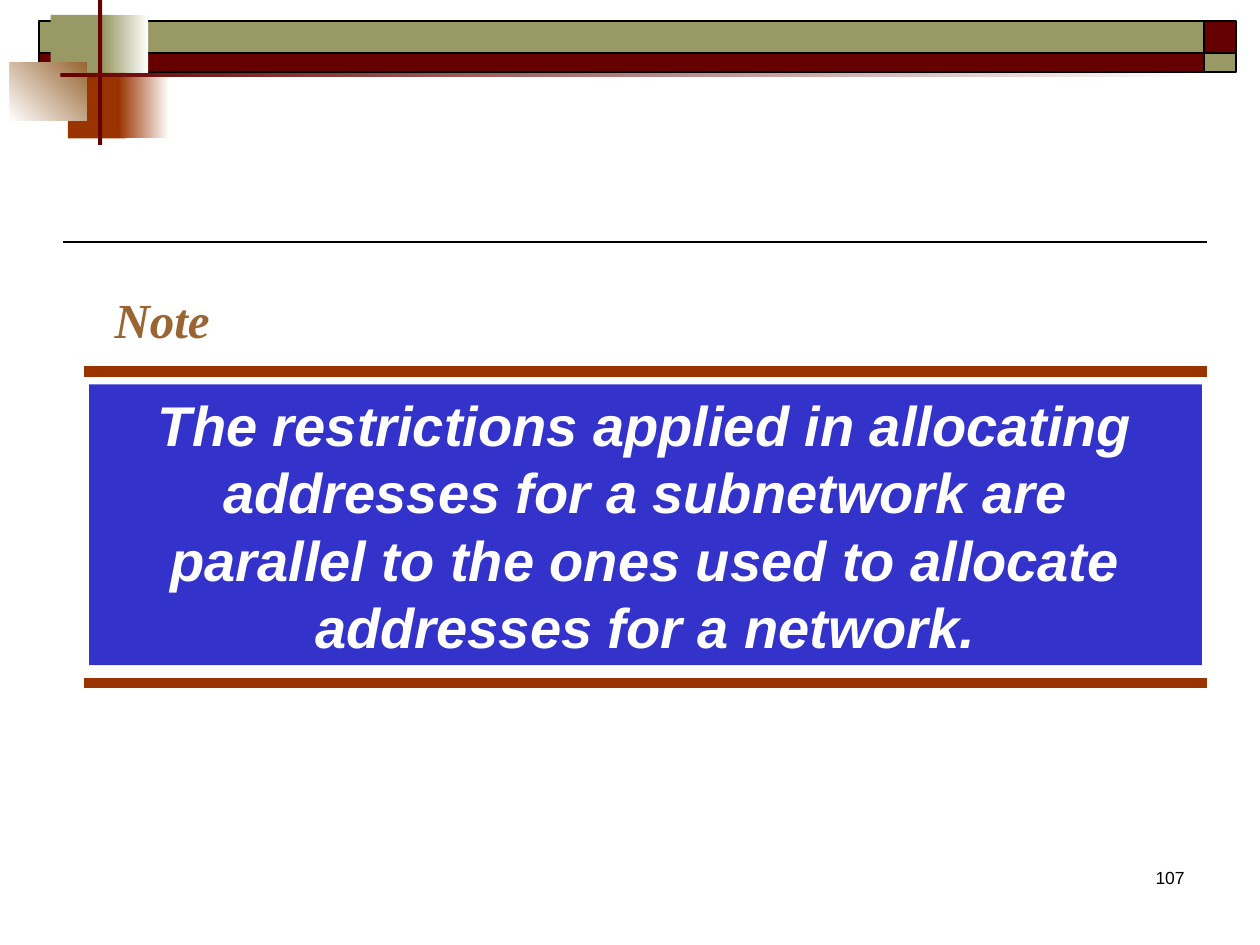
"""Build a note slide about allocating subnetwork addresses."""
from lxml import etree
from pptx import Presentation
from pptx.dml.color import RGBColor
from pptx.enum.shapes import MSO_CONNECTOR, MSO_SHAPE
from pptx.enum.text import MSO_ANCHOR, PP_ALIGN
from pptx.oxml.ns import qn
from pptx.util import Cm, Pt

RECT = MSO_SHAPE.RECTANGLE
STRAIGHT = MSO_CONNECTOR.STRAIGHT
LEFT, CENTER, RIGHT = PP_ALIGN.LEFT, PP_ALIGN.CENTER, PP_ALIGN.RIGHT
TOP = MSO_ANCHOR.TOP

BLACK = RGBColor(0x00, 0x00, 0x00)
WHITE = RGBColor(0xFF, 0xFF, 0xFF)
MAROON = RGBColor(0x66, 0x00, 0x00)
OLIVE = RGBColor(0x99, 0x99, 0x66)
RUST = RGBColor(0x99, 0x33, 0x00)
TAN = RGBColor(0x99, 0x66, 0x33)
BLUE = RGBColor(0x33, 0x33, 0xCC)

NOTE = [
    "The restrictions applied in allocating addresses for a subnetwork are",
    "parallel to the ones used to allocate addresses for a network.",
]

BAND_COLUMNS = [(0.79, 23.49), (24.28, 0.64)]
BAND_ROWS = [(0.43, 0.64, (OLIVE, MAROON)), (1.07, 0.38, (MAROON, OLIVE))]

ORNAMENTS = [
    ((1.02, 0.3, 1.22, 1.32), (OLIVE,), 0),
    ((2.08, 0.3, 0.91, 1.32), (OLIVE, WHITE), 0),
    ((1.37, 1.47, 1.17, 1.32), (RUST,), 0),
    ((2.39, 1.47, 1.02, 1.32), (RUST, WHITE), 0),
    ((0.2, 1.27, 1.55, 1.17), (WHITE, TAN), 45),
    ((1.98, 0, 0.08, 2.92), (MAROON,), 0),
    ((1.22, 1.47, 22.86, 0.09), (MAROON, WHITE), 0),
]

RULES = [
    (1.27, 24.33, 4.88, BLACK, 1),
    (1.7, 24.33, 7.49, RUST, 6),
    (1.7, 24.33, 13.77, RUST, 6),
]


def add_rect(s, box, colors, angle=0, outlined=False):
    sp = s.shapes.add_shape(RECT, *map(Cm, box))
    sp.shadow.inherit = False
    if len(colors) == 1:
        sp.fill.solid()
        sp.fill.fore_color.rgb = colors[0]
    else:
        sp.fill.gradient()
        sp.fill.gradient_angle = angle
        for stop, color in zip(sp.fill.gradient_stops, colors):
            stop.color.rgb = color
    if outlined:
        sp.line.color.rgb = BLACK
        sp.line.width = Pt(1)
    else:
        sp.line.fill.background()
    return sp


def add_rule(s, left, right, y, color, width):
    line = s.shapes.add_connector(STRAIGHT, Cm(left), Cm(y), Cm(right), Cm(y))
    line.line.color.rgb = color
    line.line.width = Pt(width)
    etree.SubElement(line._element.spPr, qn("a:effectLst"))


def set_text(sp, lines, align, size, font, color, strong=True, wrap=True):
    tf = sp.text_frame
    tf.text = "\n".join(lines)
    tf.word_wrap = wrap
    tf.vertical_anchor = TOP
    for p in tf.paragraphs:
        p.alignment = align
        for r in p.runs:
            r.font.name = font
            r.font.size = Pt(size)
            r.font.color.rgb = color
            r.font.bold = r.font.italic = strong


def main():
    prs = Presentation()
    prs.slide_width, prs.slide_height = Cm(25.4), Cm(19.05)
    s = prs.slides.add_slide(prs.slide_layouts[6])

    for top, height, colors in BAND_ROWS:
        for (left, width), color in zip(BAND_COLUMNS, colors):
            add_rect(s, (left, top, width, height), (color,), outlined=True)
    for box, colors, angle in ORNAMENTS:
        add_rect(s, box, colors, angle)
    for rule in RULES:
        add_rule(s, *rule)

    panel = add_rect(s, (1.8, 7.75, 22.43, 5.66), (BLUE,))
    set_text(panel, NOTE, CENTER, 32, "Arial", WHITE)
    for p in panel.text_frame.paragraphs:
        p.line_spacing = Pt(38.4)

    heading = s.shapes.add_textbox(Cm(2.06), Cm(5.72), Cm(2.44), Cm(1.45))
    set_text(heading, ["Note"], LEFT, 28, "Times New Roman", TAN, wrap=False)

    number = s.shapes.add_textbox(Cm(18.85), Cm(17.35), Cm(5.28), Cm(1.27))
    set_text(number, ["107"], RIGHT, 10, "Arial", BLACK, strong=False)

    prs.save("out.pptx")


if __name__ == "__main__":
    main()
